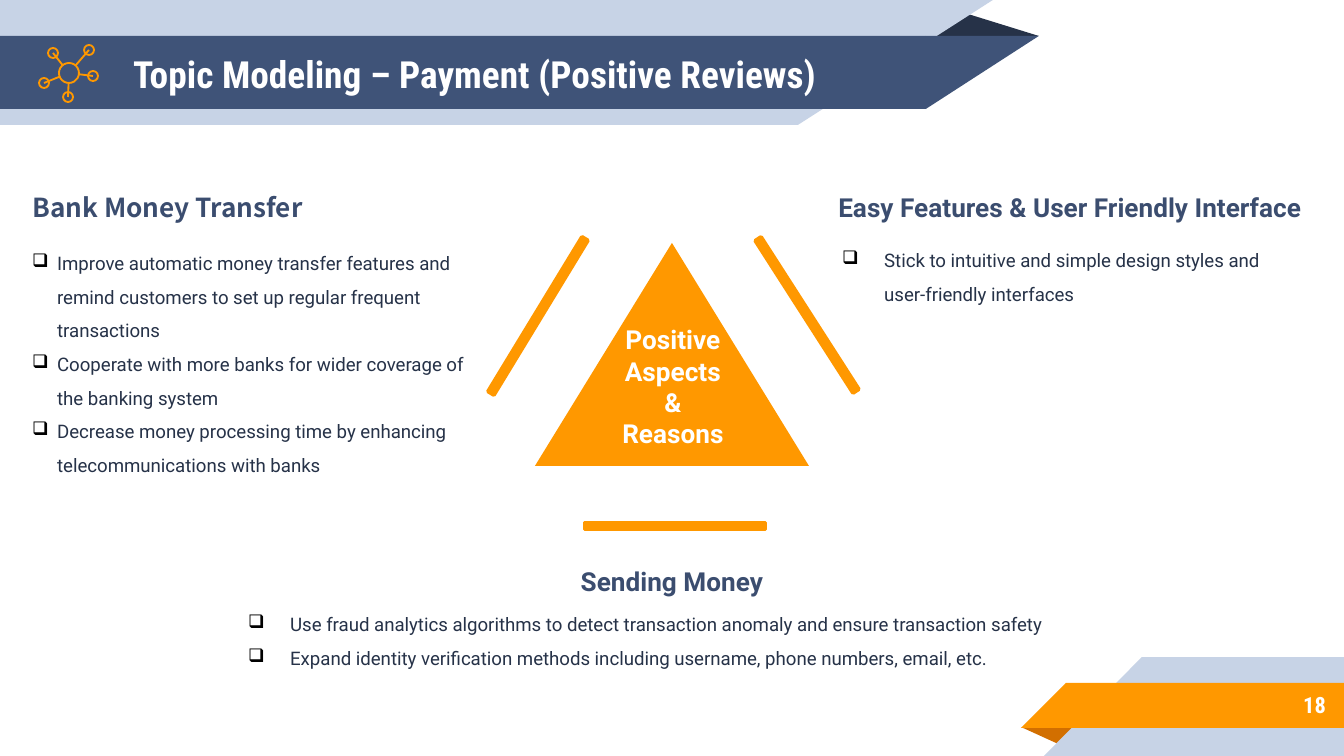
from math import hypot

from lxml import etree
from pptx import Presentation
from pptx.dml.color import RGBColor
from pptx.enum.shapes import MSO_CONNECTOR, MSO_SHAPE
from pptx.enum.text import MSO_ANCHOR, PP_ALIGN
from pptx.oxml.ns import qn
from pptx.util import Pt

PX = 914400 / 134.4

NAVY = RGBColor(0x3F, 0x53, 0x78)
INK = RGBColor(0x26, 0x32, 0x48)
HEADING = RGBColor(0x3B, 0x4D, 0x6F)
PALE = RGBColor(0xC7, 0xD3, 0xE6)
ORANGE = RGBColor(0xFF, 0x98, 0x00)
RUST = RGBColor(0xD2, 0x6F, 0x00)
WHITE = RGBColor(0xFF, 0xFF, 0xFF)

RECT, TRIANGLE, CORNER, OVAL = (MSO_SHAPE.RECTANGLE, MSO_SHAPE.ISOSCELES_TRIANGLE,
                                MSO_SHAPE.RIGHT_TRIANGLE, MSO_SHAPE.OVAL)

# kind, box, colour, format
RIBBONS = [
    (TRIANGLE, (925, 12, 114, 24), INK, {"apex": 0.32}),
    (RECT, (0, 0, 798, 125), PALE, {}),
    (CORNER, (798, 0, 195, 125), PALE, {"flip": "flipV"}),
    (RECT, (0, 36, 926, 73), NAVY, {}),
    (CORNER, (926, 36, 113, 73), NAVY, {"flip": "flipV"}),
    (TRIANGLE, (1021, 727, 58, 18), RUST, {"apex": 0.32, "rotation": 180}),
    (RECT, (1142, 657, 202, 99), PALE, {}),
    (CORNER, (1044, 657, 98, 99), PALE, {"flip": "flipH"}),
    (RECT, (1066, 683, 278, 45), ORANGE, {}),
    (CORNER, (1021, 683, 45, 45), ORANGE, {"flip": "flipH"}),
]

HUB, HUB_RADIUS, NODE_RADIUS = (69, 73), 10, 5
NODES = [(89, 50), (53, 53), (44, 83), (68, 97), (93, 76)]

# heading, its box and format, bullets, their box, indent
TOPICS = [
    ("Bank Money Transfer", (19, 185, 379, 47), {"font": "Noto Sans CJK SC"},
     ["Improve automatic money transfer features and remind customers "
      "to set up regular frequent transactions",
      "Cooperate with more banks for wider coverage of the banking system",
      "Decrease money processing time by enhancing telecommunications with banks"],
     (19, 234, 481, 247), 25),
    ("Easy Features & User Friendly Interface", (825, 185, 500, 46), {},
     ["Stick to intuitive and simple design styles and user-friendly interfaces"],
     (829, 231, 481, 78), 42),
    ("Sending Money", (323, 559, 698, 46), {"align": PP_ALIGN.CENTER},
     ["Use fraud analytics algorithms to detect transaction anomaly "
      "and ensure transaction safety",
      "Expand identity verification methods including username, "
      "phone numbers, email, etc."],
     (235, 595, 872, 78), 42),
]

CENTRE_LINES = ["Positive", "Aspects", "&", "Reasons"]
BAR_SIZE = (7, 181)
BARS = [((538, 316), 31.3), ((807, 315), 147.3), ((675, 526), 90)]  # centre, angle


def emu(*lengths):
    return [round(n * PX) for n in lengths]


def add_shape(kind, box, fill=None, line=None, width=1, rotation=0, flip=None, apex=None):
    sp = slide.shapes.add_shape(kind, *emu(*box))
    sp.shadow.inherit = False
    sp.rotation = rotation
    if apex is not None:
        sp.adjustments[0] = apex
    if flip:
        sp._element.spPr.find(qn("a:xfrm")).set(flip, "1")
    if fill is None:
        sp.fill.background()
    else:
        sp.fill.solid()
        sp.fill.fore_color.rgb = fill
    if line is None:
        sp.line.fill.background()
    else:
        sp.line.color.rgb = line
        sp.line.width = Pt(width)


def add_line(start, end, color, width):
    cx = slide.shapes.add_connector(MSO_CONNECTOR.STRAIGHT, *emu(*start, *end))
    cx.line.color.rgb = color
    cx.line.width = Pt(width)
    etree.SubElement(cx._element.spPr, qn("a:effectLst"))


def add_bullet(p, indent):
    pPr = p._p.get_or_add_pPr()
    hang = emu(indent)[0]
    pPr.set("marL", str(hang))
    pPr.set("indent", str(-hang))
    color = etree.SubElement(pPr, qn("a:buClr"))
    etree.SubElement(color, qn("a:srgbClr"), val="000000")
    etree.SubElement(pPr, qn("a:buChar"), char="❑")


def add_text(lines, box, size=14, font="Roboto", color=HEADING, bold=True,
             align=PP_ALIGN.LEFT, anchor=MSO_ANCHOR.TOP, spacing=None, indent=None):
    tf = slide.shapes.add_textbox(*emu(*box)).text_frame
    tf.word_wrap = True
    tf.vertical_anchor = anchor
    for i, line in enumerate(lines):
        p = tf.add_paragraph() if i else tf.paragraphs[0]
        p.alignment = align
        if spacing:
            p.line_spacing = spacing
        if indent:
            add_bullet(p, indent)
        r = p.add_run()
        r.text = line
        r.font.name, r.font.size, r.font.bold = font, Pt(size), bold
        r.font.color.rgb = color


def add_network_icon():
    def ring(centre, radius):
        x, y = centre
        add_shape(OVAL, (x - radius, y - radius, 2 * radius, 2 * radius), line=ORANGE)

    ring(HUB, HUB_RADIUS)
    for node in NODES:
        ring(node, NODE_RADIUS)
        dx, dy = node[0] - HUB[0], node[1] - HUB[1]
        reach = HUB_RADIUS / hypot(dx, dy)
        add_line(node, (HUB[0] + dx * reach, HUB[1] + dy * reach), ORANGE, 1)


prs = Presentation()
prs.slide_width, prs.slide_height = emu(1344, 756)
slide = prs.slides.add_slide(prs.slide_layouts[6])

for kind, box, color, style in RIBBONS:
    add_shape(kind, box, color, **style)
banner = {"font": "Roboto Condensed", "color": WHITE, "anchor": MSO_ANCHOR.MIDDLE}
add_text(["Topic Modeling – Payment (Positive Reviews)"], (120, 36, 773, 75), size=20, **banner)
add_text(["18"], (1120, 681, 219, 47), size=12, align=PP_ALIGN.RIGHT, **banner)
add_network_icon()

for heading, heading_box, style, bullets, box, indent in TOPICS:
    add_text([heading], heading_box, **style)
    add_text(bullets, box, size=10, color=INK, bold=False, spacing=1.5, indent=indent)

add_shape(TRIANGLE, (535, 243, 274, 223), ORANGE)
add_text(CENTRE_LINES, (583, 317, 180, 140), color=WHITE, align=PP_ALIGN.CENTER)
bar_w, bar_h = BAR_SIZE
for (x, y), angle in BARS:
    add_shape(RECT, (x - bar_w / 2, y - bar_h / 2, bar_w, bar_h), ORANGE,
              line=ORANGE, width=2, rotation=angle)

prs.save("out.pptx")
